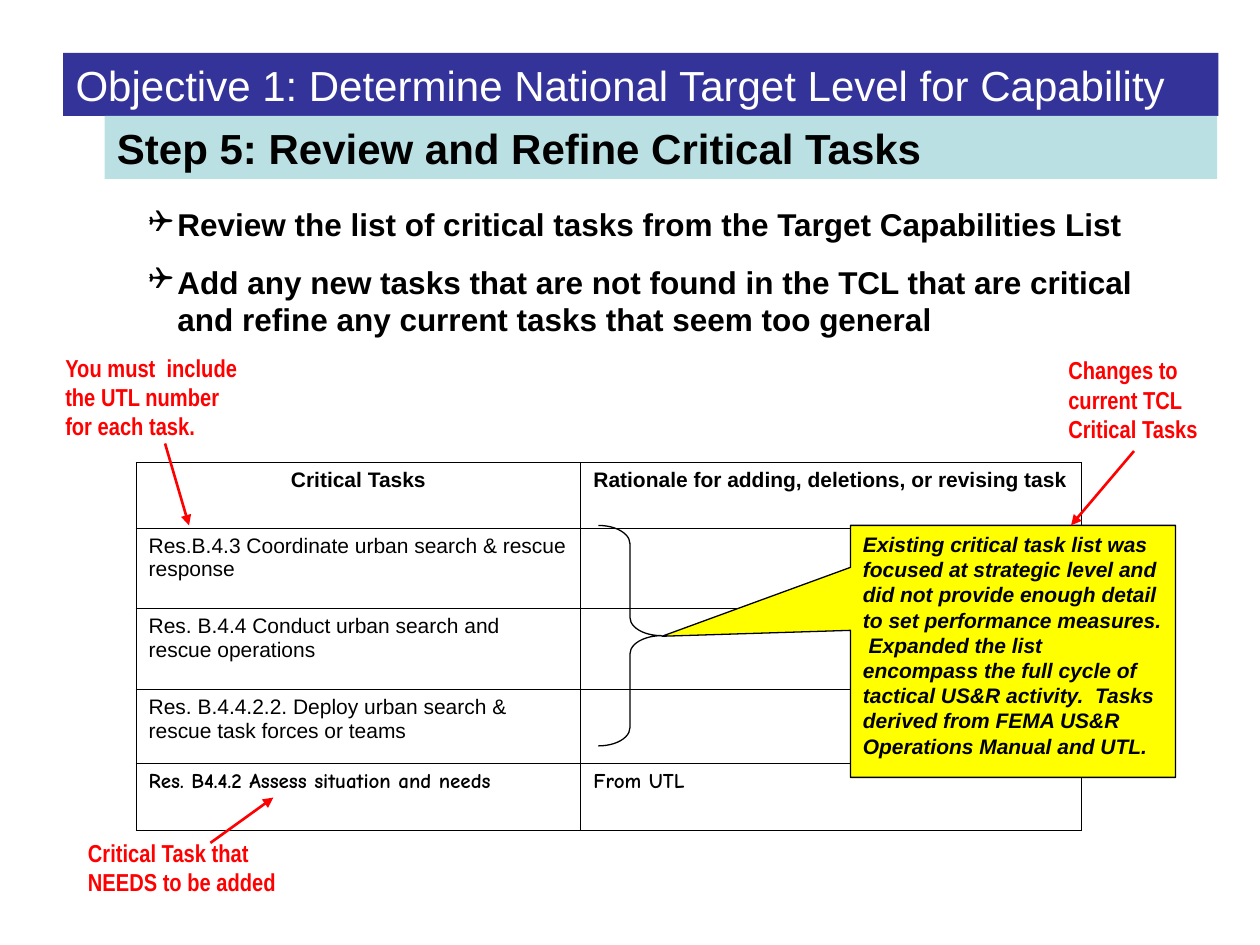
from lxml import etree
from pptx import Presentation
from pptx.dml.color import RGBColor
from pptx.enum.shapes import MSO_CONNECTOR, MSO_SHAPE
from pptx.enum.text import MSO_ANCHOR, MSO_AUTO_SIZE, PP_ALIGN
from pptx.oxml.ns import qn
from pptx.util import Inches, Pt

STRAIGHT = MSO_CONNECTOR.STRAIGHT
RECTANGLE = MSO_SHAPE.RECTANGLE
CALLOUT = MSO_SHAPE.RECTANGULAR_CALLOUT
BRACE = MSO_SHAPE.RIGHT_BRACE
TOP = MSO_ANCHOR.TOP
NO_FIT = MSO_AUTO_SIZE.NONE
LEFT, CENTER = PP_ALIGN.LEFT, PP_ALIGN.CENTER

COLORS = {"navy": "333399", "aqua": "BBE0E3", "yellow": "FFFF00",
          "red": "FF0000", "black": "000000", "white": "FFFFFF"}

# Content
TITLE = "Objective 1: Determine National Target Level for Capability"
STEP = "Step 5: Review and Refine Critical Tasks"
BULLETS = [
    "Review the list of critical tasks from the Target Capabilities List",
    "Add any new tasks that are not found in the TCL that are critical "
    "and refine any current tasks that seem too general",
]
TASKS = [
    ("Critical Tasks", "Rationale for adding, deletions, or revising task"),
    ("Res.B.4.3 Coordinate urban search & rescue response", ""),
    ("Res. B.4.4 Conduct urban search and rescue operations", ""),
    ("Res. B.4.4.2.2. Deploy urban search & rescue task forces or teams", ""),
    ("Res. B4.4.2 Assess situation and needs", "From UTL"),
]
COLUMN_WIDTHS = [3.53, 3.97]
ROW_HEIGHTS = [0.52, 0.64, 0.64, 0.59, 0.53]
RATIONALE = (
    "Existing critical task list was focused at strategic level and did not "
    "provide enough detail to set performance measures.  Expanded the list "
    "encompass the full cycle of tactical US&R activity.  Tasks derived from "
    "FEMA US&R Operations Manual and UTL."
)
# Note text, its box, and its arrow (start x, start y, end x, end y)
NOTES = [
    ("You must  include the UTL number for each task.",
     (0.42, 2.75, 1.67, 0.8), (1.31, 3.52, 1.5, 4.17)),
    ("Changes to current TCL Critical Tasks",
     (8.38, 2.77, 1.25, 0.8), (9, 3.58, 8.5, 4.17)),
    ("Critical Task that NEEDS to be added",
     (0.6, 6.6, 1.83, 0.57), (1.67, 6.69, 2.17, 6.33)),
]


def color(name):
    return RGBColor.from_string(COLORS[name])


def inches(values):
    return [Inches(value) for value in values]


def paint(shape, fill=None, line=None):
    shape.shadow.inherit = False
    if fill:
        shape.fill.solid()
        shape.fill.fore_color.rgb = color(fill)
    else:
        shape.fill.background()
    if line:
        shape.line.color.rgb = color(line)
        shape.line.width = Pt(0.75)
    else:
        shape.line.fill.background()


def style(para, size, ink="black", bold=True, italic=False, face="Arial", align=LEFT):
    para.alignment = align
    for span in para.runs:
        font = span.font
        font.name, font.size, font.bold, font.italic = face, Pt(size), bold, italic
        font.color.rgb = color(ink)


def write(shape, text, size, **look):
    frame = shape.text_frame
    frame.word_wrap = True
    frame.auto_size = NO_FIT
    frame.vertical_anchor = TOP
    frame.text = text
    for para in frame.paragraphs:
        style(para, size, **look)


def add_bullet(para):
    properties = para._p.get_or_add_pPr()
    properties.set("marL", str(Inches(0.23)))
    properties.set("indent", str(-Inches(0.23)))
    etree.SubElement(properties, qn("a:buFont"), typeface="Wingdings")
    etree.SubElement(properties, qn("a:buChar"), char="❑")


def add_borders(cell):
    properties = cell._tc.get_or_add_tcPr()
    for index, side in enumerate(("a:lnL", "a:lnR", "a:lnT", "a:lnB")):
        border = etree.Element(qn(side), w=str(Pt(0.45)))
        fill = etree.SubElement(border, qn("a:solidFill"))
        etree.SubElement(fill, qn("a:srgbClr"), val=COLORS["black"])
        properties.insert(index, border)


def add_arrow(page, ends):
    arrow = page.shapes.add_connector(STRAIGHT, *inches(ends))
    arrow.line.color.rgb = color("red")
    arrow.line.width = Pt(1.5)
    etree.SubElement(arrow.line._get_or_add_ln(), qn("a:tailEnd"), type="triangle")
    etree.SubElement(arrow._element.spPr, qn("a:effectLst"))


def add_task_table(page):
    table = page.shapes.add_table(
        len(TASKS), len(COLUMN_WIDTHS),
        *inches((1.08, 3.67, sum(COLUMN_WIDTHS), sum(ROW_HEIGHTS)))).table
    table.first_row = table.horz_banding = False
    for column, width in zip(table.columns, COLUMN_WIDTHS):
        column.width = Inches(width)
    last = len(TASKS) - 1
    for row, (texts, height) in enumerate(zip(TASKS, ROW_HEIGHTS)):
        table.rows[row].height = Inches(height)
        for column, text in enumerate(texts):
            cell = table.cell(row, column)
            cell.fill.background()
            add_borders(cell)
            cell.text = text
            style(cell.text_frame.paragraphs[0], 12, bold=row in (0, last),
                  face="Comic Neue" if row == last else "Arial",
                  align=CENTER if row == column == 0 else LEFT)


def main():
    deck = Presentation()
    deck.slide_width, deck.slide_height = Inches(10), Inches(7.5)
    page = deck.slides.add_slide(deck.slide_layouts[5])
    shapes = page.shapes

    # Title and step bands
    title = shapes.title
    title.left, title.top, title.width, title.height = inches((0.5, 0.42, 9.17, 0.5))
    title.fill.solid()
    title.fill.fore_color.rgb = color("navy")
    write(title, TITLE, 24, ink="white", bold=False)
    step = shapes.add_shape(RECTANGLE, *inches((0.83, 0.92, 8.83, 0.5)))
    paint(step, "aqua")
    write(step, STEP, 24)

    # Bullets
    box = shapes.add_textbox(*inches((1.08, 1.58, 8.42, 1.16)))
    write(box, "\n".join(BULLETS), 18)
    for index, para in enumerate(box.text_frame.paragraphs):
        if index:
            para.space_before = Pt(11.2)
        add_bullet(para)

    add_task_table(page)

    # Callout and the brace it points to
    callout = shapes.add_shape(CALLOUT, *inches((6.75, 4.17, 2.58, 2)))
    callout.adjustments[0], callout.adjustments[1] = -1.08, -0.06
    paint(callout, "yellow", "black")
    write(callout, RATIONALE, 12, italic=True)
    brace = shapes.add_shape(BRACE, *inches((4.75, 4.17, 0.5, 1.75)))
    brace.adjustments[0], brace.adjustments[1] = 0.29, 0.5
    paint(brace, line="black")

    # Red notes with arrows
    for text, place, ends in NOTES:
        add_arrow(page, ends)
        note = shapes.add_textbox(*inches(place))
        write(note, text, 14, ink="red", face="Arial Narrow")

    deck.save("out.pptx")


if __name__ == "__main__":
    main()
